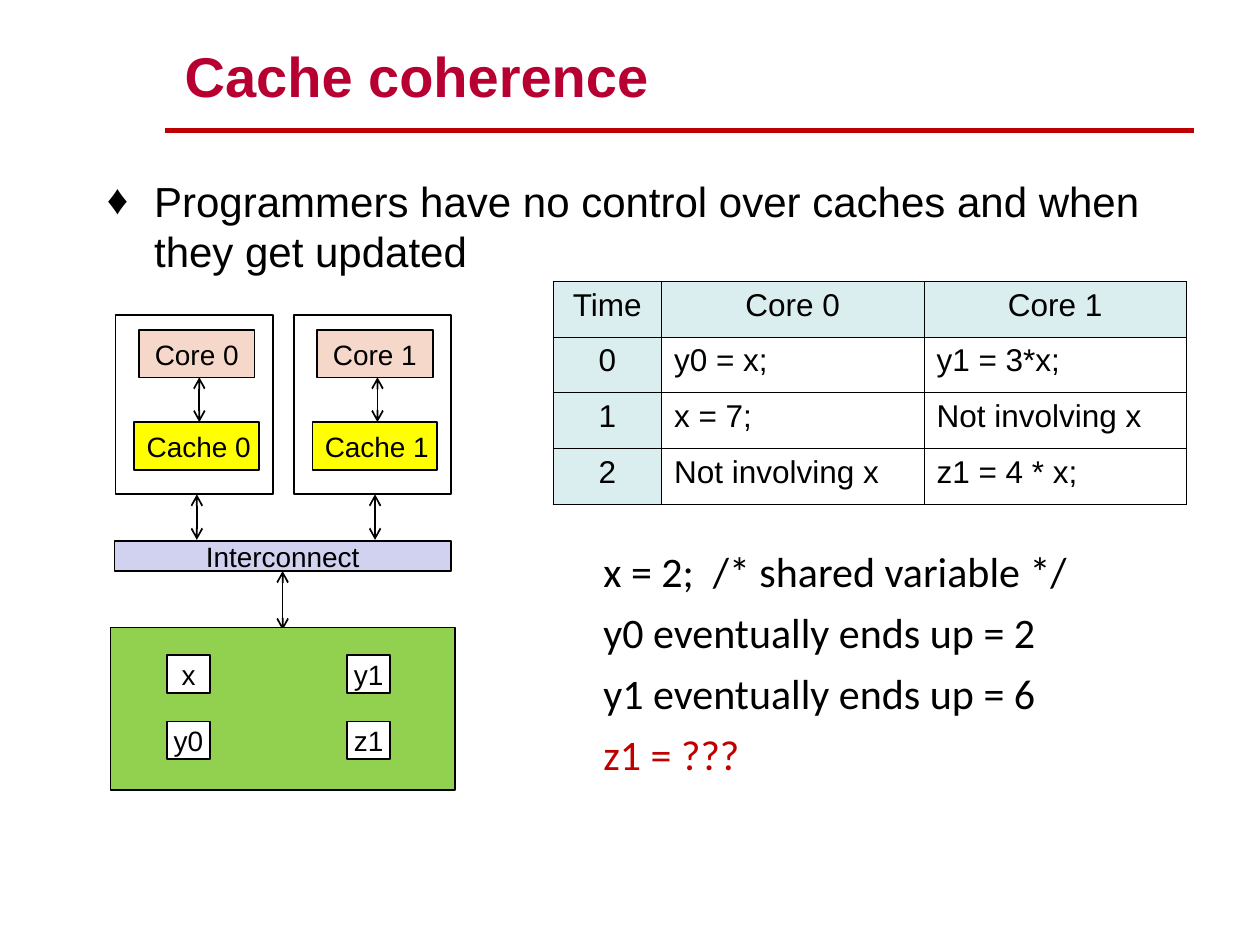
"""Build the cache coherence slide."""
import pptx
import pptx.util
import pptx.dml.color
import pptx.enum.shapes
import pptx.enum.text
import pptx.oxml
import pptx.oxml.ns
from lxml import etree

Pt = pptx.util.Pt
ANCHOR = pptx.enum.text.MSO_ANCHOR
ALIGN = pptx.enum.text.PP_ALIGN

COLORS = {
    "black": "000000", "white": "FFFFFF", "title": "B70031", "red": "C00000",
    "core": "F6D8CA", "cache": "FFFF00", "bus": "D1D1F0", "memory": "92D050",
    "header": "DAEDEF",
}
TITLE = "Cache coherence"
BULLET = "Programmers have no control over caches and when they get updated"
RESULTS = [
    ("x = 2;  /* shared variable */", "black"),
    ("y0 eventually ends up = 2", "black"),
    ("y1 eventually ends up = 6", "black"),
    ("z1 = ???", "red"),
]
SCHEDULE = [
    ("Time", "Core 0", "Core 1"),
    ("0", "y0 = x;", "y1 = 3*x;"),
    ("1", "x = 7;", "Not involving x"),
    ("2", "Not involving x", "z1 = 4 * x;"),
]
COLUMN_WIDTHS = [62, 150, 150]
VARIABLES = [("x", "y1"), ("y0", "z1")]
CORE_PITCH = 101.8


def rgb(name):
    return pptx.dml.color.RGBColor.from_string(COLORS[name])


def write(tf, text, size=16, font="Arial", color="black", bold=False,
          align=ALIGN.LEFT, before=0, bullet=None, new=False):
    p = tf.add_paragraph() if new else tf.paragraphs[0]
    if bullet:
        pPr = p._p.get_or_add_pPr()
        pPr.set("marL", str(Pt(27)))
        pPr.set("indent", str(-Pt(27)))
        etree.SubElement(pPr, pptx.oxml.ns.qn("a:buFont")).set("typeface", font)
        etree.SubElement(pPr, pptx.oxml.ns.qn("a:buChar")).set("char", bullet)
    p.alignment = align
    p.space_before = Pt(before)
    r = p.add_run()
    r.text = text
    r.font.size, r.font.name, r.font.bold = Pt(size), font, bold
    r.font.color.rgb = rgb(color)


def add_box(s, x, y, w, h, fill=None, text=None, align=ALIGN.CENTER):
    sp = s.shapes.add_shape(pptx.enum.shapes.MSO_SHAPE.RECTANGLE,
                            Pt(x), Pt(y), Pt(w), Pt(h))
    sp.shadow.inherit = False
    if fill:
        sp.fill.solid()
        sp.fill.fore_color.rgb = rgb(fill)
    else:
        sp.fill.background()
    sp.line.color.rgb = rgb("black")
    sp.line.width = Pt(1)
    if text:
        tf = sp.text_frame
        tf.word_wrap = False
        tf.vertical_anchor = ANCHOR.MIDDLE
        write(tf, text, align=align)


def add_line(s, x1, y1, x2, y2, color="black", width=1, arrows=True):
    sp = s.shapes.add_connector(pptx.enum.shapes.MSO_CONNECTOR.STRAIGHT,
                                Pt(x1), Pt(y1), Pt(x2), Pt(y2))
    sp.line.color.rgb = rgb(color)
    sp.line.width = Pt(width)
    if arrows:
        ln = sp.line._get_or_add_ln()
        for end in ("a:headEnd", "a:tailEnd"):
            etree.SubElement(ln, pptx.oxml.ns.qn(end)).set("type", "arrow")
    etree.SubElement(sp._element.spPr, pptx.oxml.ns.qn("a:effectLst"))


def add_text(s, x, y, w, h):
    tf = s.shapes.add_textbox(Pt(x), Pt(y), Pt(w), Pt(h)).text_frame
    tf.word_wrap = True
    return tf


def add_title(s):
    sp = s.shapes.title
    sp.left, sp.top, sp.width, sp.height = Pt(98.3), Pt(17.8), Pt(576), Pt(48.2)
    tf = sp.text_frame
    tf.auto_size = pptx.enum.text.MSO_AUTO_SIZE.NONE
    tf.vertical_anchor = ANCHOR.BOTTOM
    write(tf, TITLE, size=32, color="title", bold=True)


def add_schedule(s):
    table = s.shapes.add_table(len(SCHEDULE), len(COLUMN_WIDTHS), Pt(316),
                               Pt(160.7), Pt(sum(COLUMN_WIDTHS)), Pt(127.6)).table
    for column, width in zip(table.columns, COLUMN_WIDTHS):
        column.width = Pt(width)
    for i, row in enumerate(SCHEDULE):
        for j, text in enumerate(row):
            cell = table.cell(i, j)
            heading = i == 0 or j == 0
            write(cell.text_frame, text, size=18,
                  align=ALIGN.CENTER if heading else ALIGN.LEFT)
            tcPr = cell._tc.get_or_add_tcPr()
            for side in ("lnL", "lnR", "lnT", "lnB"):
                tcPr.append(pptx.oxml.parse_xml(
                    f'<a:{side} {pptx.oxml.ns.nsdecls("a")} w="{Pt(0.45)}"><a:solidFill>'
                    f'<a:srgbClr val="{COLORS["black"]}"/></a:solidFill></a:{side}>'))
            if heading:
                cell.fill.solid()
                cell.fill.fore_color.rgb = rgb("header")
            else:
                cell.fill.background()


def add_diagram(s):
    for i in range(2):
        dx = i * CORE_PITCH
        add_box(s, 66 + dx, 180, 90, 102.2)
        add_box(s, 79.3 + dx, 188.6, 66.2, 27.2, "core", f"Core {i}")
        add_box(s, 76.7 + dx, 241.2, 71.3, 27.4, "cache", f"Cache {i}", ALIGN.LEFT)
        add_line(s, 113.9 + dx, 241.2, 113.9 + dx, 215.6)
        add_line(s, 112.5 + dx, 308.5, 112.5 + dx, 282.5)
    add_box(s, 65.4, 309, 192.3, 17.3, "bus", "Interconnect")
    add_line(s, 161.5, 360, 161.5, 326.3)
    add_box(s, 63.2, 358.5, 197, 93, "memory")
    for i, row in enumerate(VARIABLES):
        for j, name in enumerate(row):
            add_box(s, 95.5 + j * 103, 374.5 + i * 37.8, 24.5, 21.6, "white", name)


def main():
    prs = pptx.Presentation()
    prs.slide_width, prs.slide_height = Pt(720), Pt(540)
    s = prs.slides.add_slide(prs.slide_layouts[5])
    add_line(s, 94.3, 74.4, 682.5, 74.4, color="red", width=3, arrows=False)
    add_title(s)
    write(add_text(s, 54, 96.5, 631.5, 83.5), BULLET, size=24, bullet="♦")
    tf = add_text(s, 337.7, 308.2, 318.2, 140.4)
    for i, (text, color) in enumerate(RESULTS):
        write(tf, text, size=24, font="Calibri", color=color,
              before=6 if i else 0, new=i > 0)
    add_diagram(s)
    add_schedule(s)
    prs.save("out.pptx")


if __name__ == "__main__":
    main()
